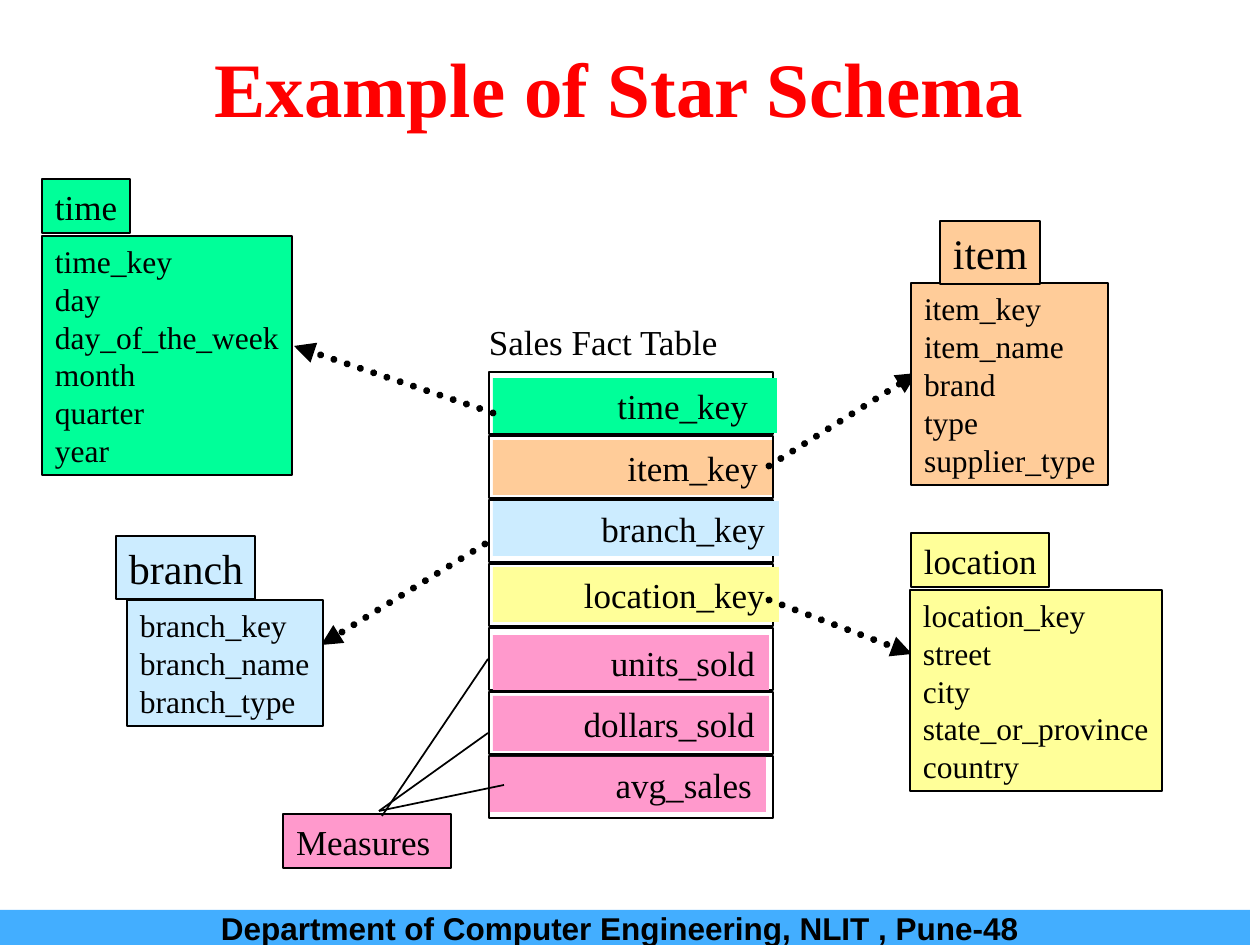
from dataclasses import dataclass

from lxml import etree
from pptx import Presentation
from pptx.dml.color import RGBColor
from pptx.enum.dml import MSO_LINE
from pptx.enum.shapes import MSO_CONNECTOR, MSO_SHAPE
from pptx.enum.text import MSO_ANCHOR, PP_ALIGN
from pptx.oxml.ns import qn
from pptx.util import Pt

RECTANGLE, STRAIGHT = MSO_SHAPE.RECTANGLE, MSO_CONNECTOR.STRAIGHT
LEFT, CENTER, RIGHT = PP_ALIGN.LEFT, PP_ALIGN.CENTER, PP_ALIGN.RIGHT
MIDDLE = MSO_ANCHOR.MIDDLE
DOTTED = MSO_LINE.ROUND_DOT
PIXEL = 914400 / 126


@dataclass(frozen=True)
class Theme:
    serif: str = "Times New Roman"
    sans: str = "Arial"
    black: str = "000000"
    red: str = "FF0000"
    green: str = "00FF99"
    orange: str = "FFCC99"
    blue: str = "CCECFF"
    yellow: str = "FFFF99"
    pink: str = "FF99CC"
    footer: str = "43AEFF"
    title_size: int = 44
    name_size: int = 24
    label_size: int = 20
    field_size: int = 18
    thin: float = 0.75
    rule: float = 1
    thick: float = 4


def px(length):
    return round(length * PIXEL)


class SchemaSlide:
    """Draws the parts of a star schema on one slide."""

    def __init__(self, deck, theme):
        self.theme = theme
        self.page = deck.slides.add_slide(deck.slide_layouts[6])

    def set_text(self, shape, lines, size, align=LEFT, color=None, font=None,
                 bold=False, margins=(13, 6, 13, 6), wrap=False):
        frame = shape.text_frame
        frame.word_wrap = wrap
        frame.vertical_anchor = MIDDLE
        (frame.margin_left, frame.margin_top,
         frame.margin_right, frame.margin_bottom) = map(px, margins)
        for index, line in enumerate(lines):
            para = frame.add_paragraph() if index else frame.paragraphs[0]
            para.text = line
            para.alignment = align
            para.font.name = font or self.theme.serif
            para.font.size = Pt(size)
            para.font.bold = bold
            para.font.color.rgb = RGBColor.from_string(color or self.theme.black)

    def text(self, bounds, line, size, **style):
        box = self.page.shapes.add_textbox(*map(px, bounds))
        self.set_text(box, [line], size, **style)

    def box(self, bounds, fill=None, line=None):
        shape = self.page.shapes.add_shape(RECTANGLE, *map(px, bounds))
        shape.shadow.inherit = False
        if fill:
            shape.fill.solid()
            shape.fill.fore_color.rgb = RGBColor.from_string(fill)
        else:
            shape.fill.background()
        if line:
            shape.line.color.rgb = RGBColor.from_string(self.theme.black)
            shape.line.width = Pt(line)
        else:
            shape.line.fill.background()
        return shape

    def label(self, bounds, fill, lines, size, line=None, **style):
        self.set_text(self.box(bounds, fill, line), lines, size, **style)

    def line(self, start, end, width):
        connector = self.page.shapes.add_connector(STRAIGHT, *map(px, start + end))
        connector.line.color.rgb = RGBColor.from_string(self.theme.black)
        connector.line.width = Pt(width)
        etree.SubElement(connector._element.spPr, qn("a:effectLst"))
        return connector

    def dotted_arrow(self, start, end):
        connector = self.line(start, end, self.theme.thick)
        connector.line.dash_style = DOTTED
        outline = connector._element.spPr.find(qn("a:ln"))
        outline.set("cap", "rnd")
        etree.SubElement(outline, qn("a:round"))
        etree.SubElement(outline, qn("a:tailEnd"), type="triangle")


theme = Theme()
deck = Presentation()
deck.slide_width, deck.slide_height = px(1260), px(945)
slide = SchemaSlide(deck, theme)

slide.text((84, 53, 1071, 68), "Example of Star Schema", theme.title_size,
           align=CENTER, color=theme.red, bold=True, wrap=True)
slide.text((476, 314, 255, 55), "Sales Fact Table", theme.label_size)

FACT_ROWS = [
    ("time_key", theme.green, (493, 378, 284, 55), 29),
    ("item_key", theme.orange, (493, 440, 279, 55), 14),
    ("branch_key", theme.blue, (493, 501, 286, 55), 14),
    ("location_key", theme.yellow, (493, 567, 286, 55), 14),
    ("units_sold", theme.pink, (493, 635, 276, 55), 14),
    ("dollars_sold", theme.pink, (493, 696, 276, 55), 14),
    ("avg_sales", theme.pink, (490, 757, 276, 55), 14),
]
for row, (name, fill, bounds, inset) in enumerate(FACT_ROWS):
    slide.box((489, 372 + 64 * row, 284, 62), line=theme.rule)
    slide.label(bounds, fill, [name], theme.label_size,
                align=RIGHT, margins=(13, 6, inset, 6), wrap=True)

slide.label((283, 814, 168, 54), theme.pink, ["Measures"], theme.label_size,
            theme.thin, wrap=True)
for start, end in [((382, 816), (488, 659)), ((379, 811), (488, 733)),
                   ((379, 811), (504, 785))]:
    slide.line(start, end, theme.rule)

for start, end in [((485, 544), (321, 645)), ((493, 413), (294, 346)),
                   ((769, 600), (912, 654)), ((769, 466), (917, 373))]:
    slide.dotted_arrow(start, end)

DIMENSIONS = [
    ("time", theme.label_size, theme.green, (42, 179, 88, 54), (42, 236, 250, 239),
     ["time_key", "day", "day_of_the_week", "month", "quarter", "year"]),
    ("item", theme.name_size, theme.orange, (940, 221, 100, 63), (911, 283, 197, 202),
     ["item_key", "item_name", "brand", "type", "supplier_type"]),
    ("branch", theme.name_size, theme.blue, (116, 536, 139, 63), (127, 600, 196, 126),
     ["branch_key", "branch_name", "branch_type"]),
    ("location", theme.label_size, theme.yellow, (911, 533, 138, 54), (910, 590, 252, 201),
     ["location_key", "street", "city", "state_or_province", "country"]),
]
for name, size, fill, name_bounds, field_bounds, fields in DIMENSIONS:
    slide.label(field_bounds, fill, fields, theme.field_size, theme.thin)
    slide.label(name_bounds, fill, [name], size, theme.thin)

slide.label((-10, 910, 1260, 35), theme.footer,
            ["Department of Computer Engineering, NLIT , Pune-48"], theme.field_size,
            align=CENTER, font=theme.sans, bold=True, wrap=True)

deck.save("out.pptx")
